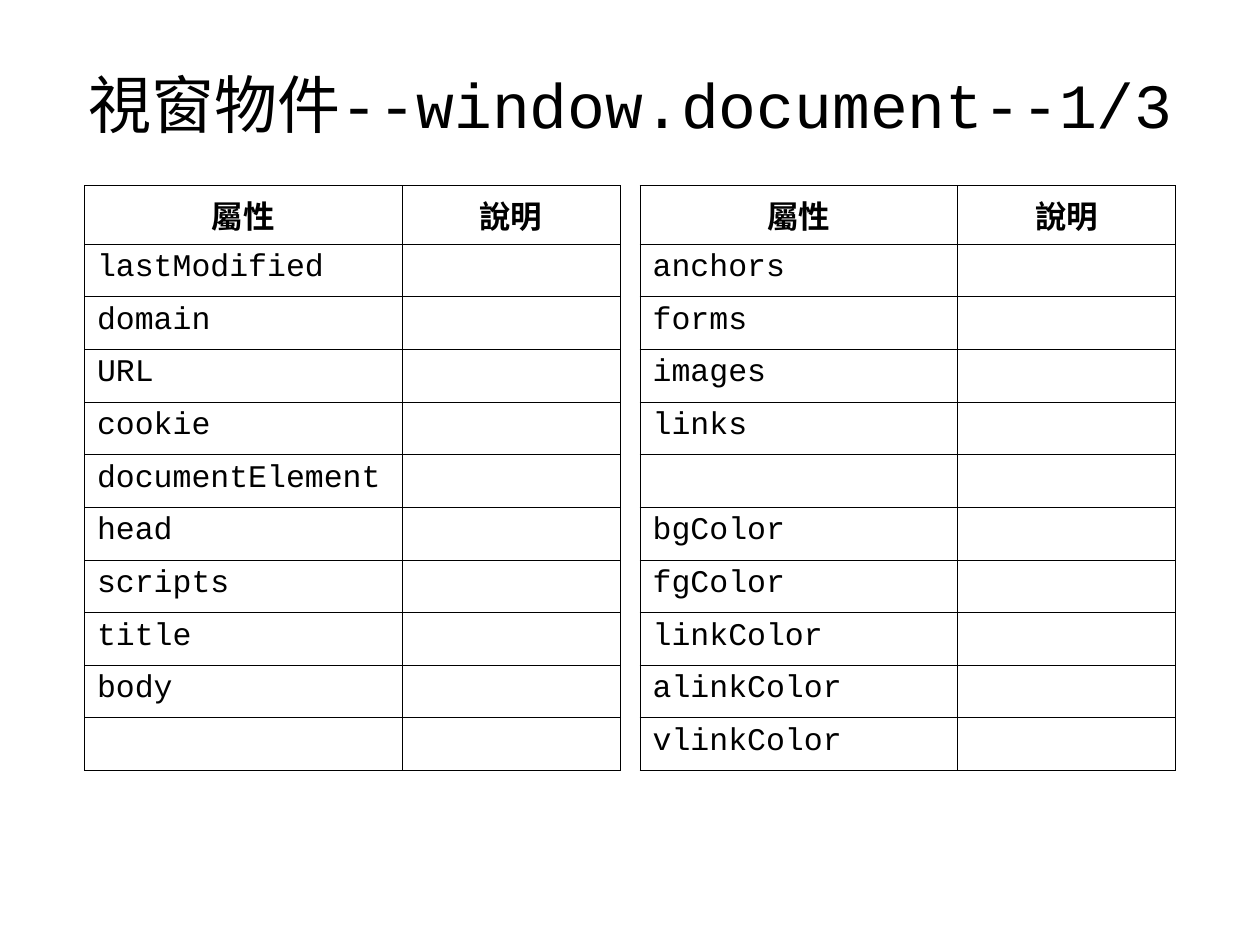
import lxml.etree
import pptx
import pptx.dml.color
import pptx.enum.text
import pptx.oxml.ns
import pptx.util

Pt = pptx.util.Pt
PP_ALIGN = pptx.enum.text.PP_ALIGN
ANCHOR = pptx.enum.text.MSO_ANCHOR
BLACK = pptx.dml.color.RGBColor(0, 0, 0)

CODE_FONT = "Courier New"
HEADING_FONT = "Arial"
BORDER_WIDTH = Pt(0.45)
COLUMN_SHARES = (0.593, 0.407)
HEADER_HEIGHT = 33.5

HEADINGS = ("屬性", "說明")
DOCUMENT_PROPERTIES = (
    "lastModified", "domain", "URL", "cookie", "documentElement",
    "head", "scripts", "title", "body", "",
)
COLLECTIONS_AND_COLORS = (
    "anchors", "forms", "images", "links", "",
    "bgColor", "fgColor", "linkColor", "alinkColor", "vlinkColor",
)


def style_font(font, name, size, bold=False):
    font.name = name
    font.size = Pt(size)
    font.bold = bold
    font.color.rgb = BLACK


def add_title(slide, box, wording):
    title = slide.shapes.title
    title.left, title.top, title.width, title.height = map(Pt, box)
    frame = title.text_frame
    frame.word_wrap = True
    frame.auto_size = pptx.enum.text.MSO_AUTO_SIZE.NONE
    frame.vertical_anchor = ANCHOR.MIDDLE
    paragraph = frame.paragraphs[0]
    paragraph.alignment = PP_ALIGN.CENTER
    run = paragraph.add_run()
    run.text = wording
    style_font(run.font, CODE_FONT, 36)


def outline_cell(cell):
    qn = pptx.oxml.ns.qn
    properties = cell._tc.get_or_add_tcPr()
    for side in ("a:lnL", "a:lnR", "a:lnT", "a:lnB"):
        line = lxml.etree.SubElement(properties, qn(side), w=str(BORDER_WIDTH))
        fill = lxml.etree.SubElement(line, qn("a:solidFill"))
        lxml.etree.SubElement(fill, qn("a:srgbClr"), val=str(BLACK))


def fill_cell(cell, wording, is_heading):
    outline_cell(cell)
    cell.fill.background()
    cell.vertical_anchor = ANCHOR.TOP
    font_name = HEADING_FONT if is_heading else CODE_FONT
    paragraph = cell.text_frame.paragraphs[0]
    paragraph.alignment = PP_ALIGN.CENTER if is_heading else PP_ALIGN.LEFT
    style_font(paragraph.font, font_name, 18, is_heading)
    if wording:
        run = paragraph.add_run()
        run.text = wording
        style_font(run.font, font_name, 18, is_heading)


def add_property_table(slide, box, properties):
    """Place a heading row and one row per property, descriptions left open."""
    left, top, width, height = box
    entries = [HEADINGS] + [(name, "") for name in properties]
    table = slide.shapes.add_table(
        len(entries), len(HEADINGS), Pt(left), Pt(top), Pt(width), Pt(height)
    ).table
    table.first_row = False
    table.horz_banding = False
    for column, share in zip(table.columns, COLUMN_SHARES):
        column.width = Pt(width * share)
    row_height = (height - HEADER_HEIGHT) / len(properties)
    for index, entry in enumerate(entries):
        table.rows[index].height = Pt(row_height if index else HEADER_HEIGHT)
        for column, wording in enumerate(entry):
            fill_cell(table.cell(index, column), wording, index == 0)


def main():
    presentation = pptx.Presentation()
    presentation.slide_width = Pt(720)
    presentation.slide_height = Pt(540)
    slide = presentation.slides.add_slide(presentation.slide_layouts[5])

    add_title(slide, (36.5, 29.5, 648, 59), "視窗物件--window.document--1/3")

    margin, table_width = 48.25, 306
    table_lefts = (margin, 720 - margin - table_width)
    for left, properties in zip(table_lefts, (DOCUMENT_PROPERTIES, COLLECTIONS_AND_COLORS)):
        add_property_table(slide, (left, 106, table_width, 334.5), properties)

    presentation.save("out.pptx")


if __name__ == "__main__":
    main()
